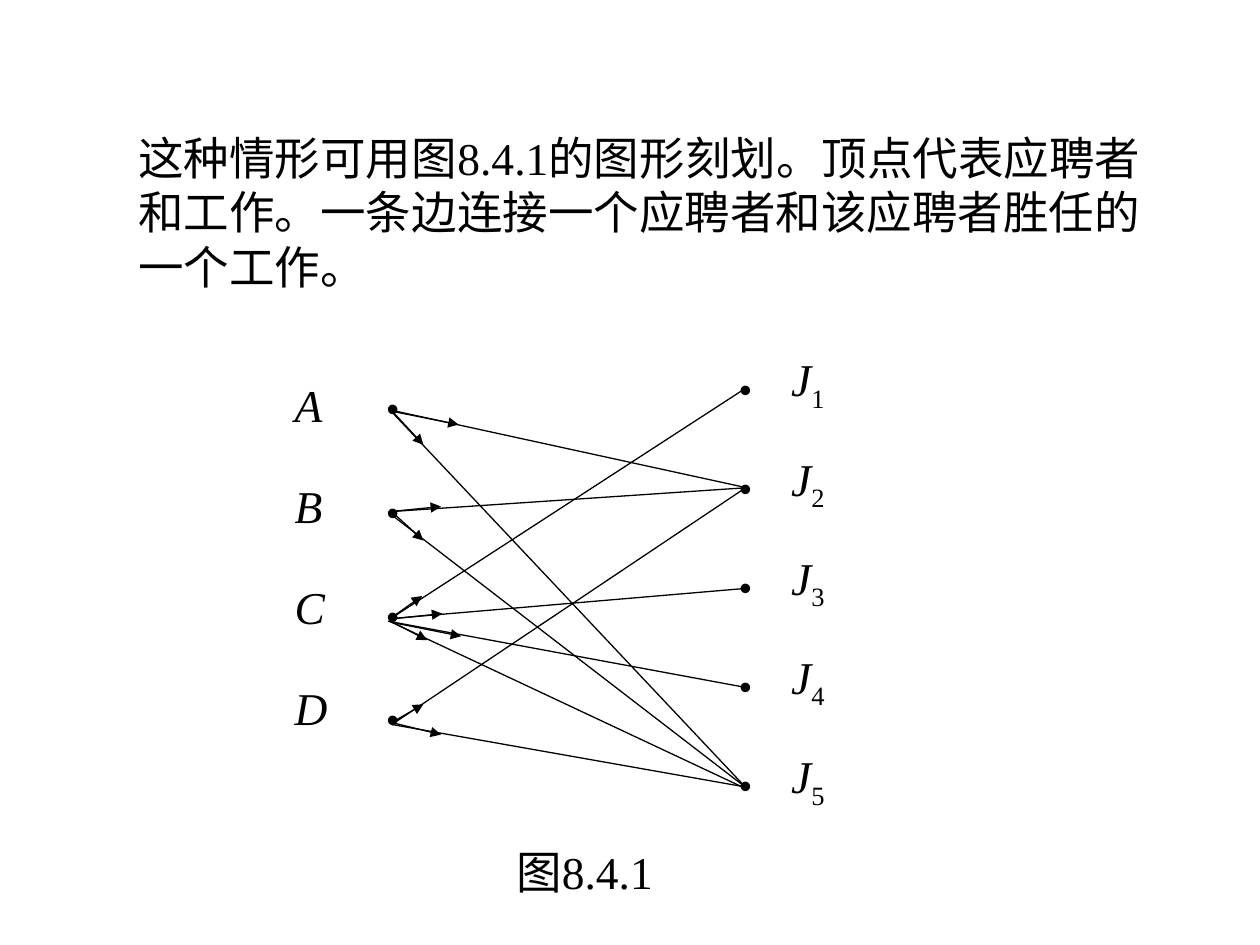
from lxml import etree
from pptx import Presentation
from pptx import util as u
from pptx.dml.color import RGBColor
from pptx.enum import shapes, text
from pptx.oxml import ns


def color(value):
    return RGBColor.from_string(value)


def spread(first, last, count):
    return [first + (last - first) * row / (count - 1) for row in range(count)]


class Sketch:
    ink = "000000"
    serif = "Times New Roman"
    sans = "Arial"
    size = 26
    line_width = 0.75

    def __init__(self, page):
        self.page = page

    def span(self, para, words, font=None, size=None, italic=False, baseline=0):
        span = para.add_run()
        span.text = words
        span.font.name = font or self.serif
        span.font.size = u.Pt(size or self.size)
        span.font.italic = italic
        span.font.color.rgb = color(self.ink)
        if baseline:
            span.font._element.set("baseline", str(baseline))

    def para(self, left, top, width, height, wrap=True, align=text.PP_ALIGN.LEFT):
        box = self.page.shapes.add_textbox(*map(u.Inches, (left, top, width, height)))
        frame = box.text_frame
        frame.word_wrap = wrap
        frame.auto_size = text.MSO_AUTO_SIZE.SHAPE_TO_FIT_TEXT
        para = frame.paragraphs[0]
        para.alignment = align
        return para

    def applicant(self, name, top):
        self.span(self.para(2.24, top, 0.5, 0.54), name, italic=True)

    def job(self, number, top):
        para = self.para(6.18, top, 0.52, 0.6)
        self.span(para, "J", italic=True)
        self.span(para, str(number), baseline=-25000)

    def vertex(self, left, top):
        para = self.para(left, top, 0.31, 0.44, wrap=False)
        self.span(para, "•", self.sans, 20)

    def line(self, start, end, arrow=False):
        line = self.page.shapes.add_connector(
            shapes.MSO_CONNECTOR.STRAIGHT, *map(u.Inches, start + end))
        line.line.color.rgb = color(self.ink)
        line.line.width = u.Pt(self.line_width)
        properties = line._element.spPr
        if arrow:
            outline = properties.find(ns.qn("a:ln"))
            etree.SubElement(outline, ns.qn("a:tailEnd"), type="triangle")
        etree.SubElement(properties, ns.qn("a:effectLst"))


EDGES = [
    ((3.08, 3.25), (5.92, 3.87), (3.14, 3.27), (3.64, 3.37)),
    ((3.11, 3.27), (5.9, 6.23), (3.1, 3.25), (3.36, 3.53)),
    ((3.11, 4.06), (5.94, 3.87), (3.1, 4.06), (3.5, 4.02)),
    ((3.1, 4.08), (5.92, 6.25), (3.13, 4.08), (3.36, 4.29)),
    ((3.1, 4.91), (5.92, 3.08), (3.11, 4.9), (3.35, 4.73)),
    ((3.1, 4.91), (5.92, 4.67), (3.13, 4.91), (3.51, 4.87)),
    ((3.08, 4.93), (5.94, 5.46), (3.11, 4.94), (3.66, 5.05)),
    ((3.09, 4.93), (5.9, 6.25), (3.1, 4.93), (3.39, 5.08)),
    ((3.11, 5.75), (5.92, 3.87), (3.1, 5.74), (3.36, 5.59)),
    ((3.11, 5.75), (5.94, 6.25), (3.13, 5.74), (3.5, 5.83)),
]


def main():
    deck = Presentation()
    deck.slide_width, deck.slide_height = u.Inches(10), u.Inches(7.5)
    sketch = Sketch(deck.slides.add_slide(deck.slide_layouts[6]))

    sketch.span(
        sketch.para(1, 0.98, 8.25, 1.4),
        "这种情形可用图8.4.1的图形刻划。顶点代表应聘者和工作。"
        "一条边连接一个应聘者和该应聘者胜任的一个工作。")

    for name, top in zip("ABCD", spread(2.94, 5.35, 4)):
        sketch.applicant(name, top)
    for number, top in enumerate(spread(2.74, 5.89, 5), 1):
        sketch.job(number, top)
    for top in spread(3.02, 5.49, 4):
        sketch.vertex(2.97, top)
    for top in spread(2.87, 6.01, 5):
        sketch.vertex(5.77, top)

    for start, end, arrow_start, arrow_tip in EDGES:
        sketch.line(start, end)
        sketch.line(arrow_start, arrow_tip, arrow=True)

    caption = sketch.para(3.89, 6.65, 1.5, 0.54, align=text.PP_ALIGN.CENTER)
    sketch.span(caption, "图8.4.1")
    deck.save("out.pptx")


if __name__ == "__main__":
    main()
